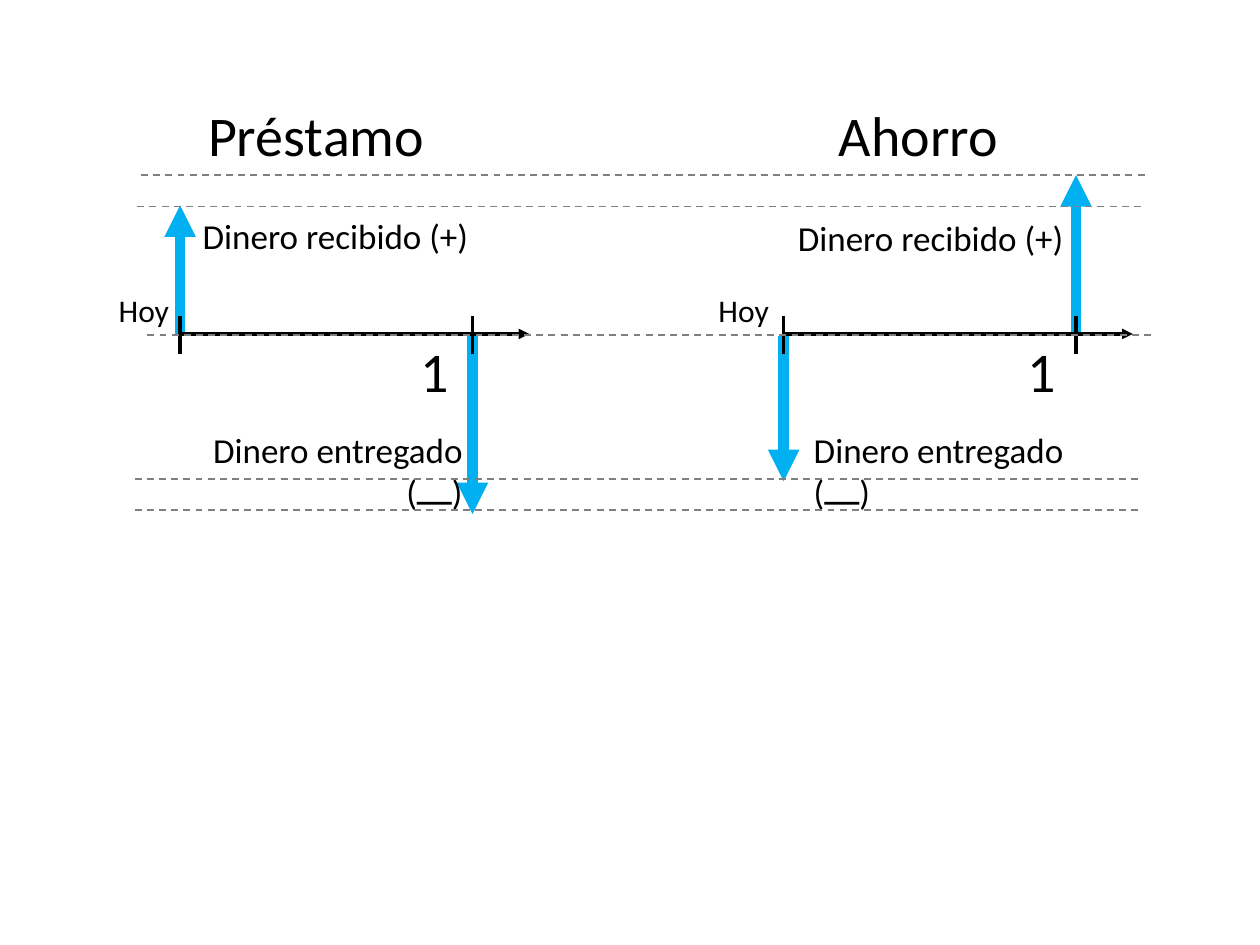
"""Build a slide comparing the cash flows of a loan and of savings."""
from dataclasses import dataclass

from lxml.etree import SubElement
from pptx import Presentation
from pptx.dml.color import RGBColor
from pptx.enum.dml import MSO_LINE
from pptx.enum.shapes import MSO_CONNECTOR
from pptx.enum.text import MSO_AUTO_SIZE, PP_ALIGN
from pptx.oxml.ns import qn
from pptx.util import Inches, Pt


@dataclass(frozen=True)
class Theme:
    font: str = "Calibri"
    black: RGBColor = RGBColor(0x00, 0x00, 0x00)
    blue: RGBColor = RGBColor(0x00, 0xB0, 0xF0)
    gray: RGBColor = RGBColor(0x80, 0x80, 0x80)
    large: int = 32
    medium: int = 20
    small: int = 18
    flow: int = 6
    axis: int = 2
    guide: int = 1


THEME = Theme()
LEFT, CENTER, RIGHT = PP_ALIGN.LEFT, PP_ALIGN.CENTER, PP_ALIGN.RIGHT
RECEIVED, PAID = "Dinero recibido (+)", "Dinero entregado (\u23bc)"
AXIS_Y, FLOW_Y = 2.65, 2.67
TICK_TOP, TICK_BOTTOM = 2.51, 2.81
AXIS_LENGTH, GUIDE_LENGTH = 2.77, 7.97

DIAGRAMS = [
    {
        "title": ("Préstamo", 0.83, 3.36),
        "today": 1.43, "later": 3.75,
        "tips": (1.63, 4.08),
        "today_label": 0.83, "period_label": 3.24,
        "received": (1.51, 1.65, LEFT), "paid": (1.19, 3.35, RIGHT),
    },
    {
        "title": ("Ahorro", 5.59, 3.4),
        "today": 6.22, "later": 8.54,
        "tips": (3.82, 1.39),
        "today_label": 5.59, "period_label": 8.06,
        "received": (6.21, 1.67, RIGHT), "paid": (6.36, 3.35, LEFT),
    },
]
GUIDES = [(1.09, 1.64), (1.17, 2.66), (1.07, 3.8), (1.12, 1.39), (1.07, 4.05)]


def add_line(slide, start, end, color, width, arrow=False, dashed=False):
    points = [Inches(value) for value in (*start, *end)]
    connector = slide.shapes.add_connector(MSO_CONNECTOR.STRAIGHT, *points)
    connector.line.color.rgb = color
    connector.line.width = Pt(width)
    if dashed:
        connector.line.dash_style = MSO_LINE.DASH
    if arrow:
        SubElement(connector.line._get_or_add_ln(), qn("a:tailEnd"), type="triangle")
    SubElement(connector._element.spPr, qn("a:effectLst"))


def add_text(slide, text, left, top, width, height, size, align=LEFT, wrap=False):
    box = slide.shapes.add_textbox(*map(Inches, (left, top, width, height)))
    frame = box.text_frame
    frame.word_wrap = wrap
    frame.auto_size = MSO_AUTO_SIZE.SHAPE_TO_FIT_TEXT
    paragraph = frame.paragraphs[0]
    paragraph.text = text
    paragraph.alignment = align
    paragraph.font.name = THEME.font
    paragraph.font.size = Pt(size)
    paragraph.font.color.rgb = THEME.black


def add_diagram(slide, diagram):
    moments = (diagram["today"], diagram["later"])
    for x, tip in zip(moments, diagram["tips"]):
        add_line(slide, (x, FLOW_Y), (x, tip), THEME.blue, THEME.flow, arrow=True)
    start = diagram["today"]
    add_line(slide, (start, AXIS_Y), (start + AXIS_LENGTH, AXIS_Y),
             THEME.black, THEME.axis, arrow=True)
    for x in moments:
        add_line(slide, (x, TICK_BOTTOM), (x, TICK_TOP), THEME.black, THEME.axis)

    title, left, width = diagram["title"]
    add_text(slide, title, left, 0.75, width, 0.64, THEME.large, CENTER, wrap=True)
    add_text(slide, "1", diagram["period_label"], 2.62, 0.43, 0.64, THEME.large)
    add_text(slide, "Hoy", diagram["today_label"], 2.26, 0.61, 0.4, THEME.small, RIGHT)
    left, top, align = diagram["received"]
    add_text(slide, RECEIVED, left, top, 2.33, 0.44, THEME.medium, align)
    left, top, align = diagram["paid"]
    add_text(slide, PAID, left, top, 2.58, 0.44, THEME.medium, align, wrap=True)


presentation = Presentation()
presentation.slide_width, presentation.slide_height = Inches(10), Inches(7.5)
slide = presentation.slides.add_slide(presentation.slide_layouts[6])
for diagram in DIAGRAMS:
    add_diagram(slide, diagram)
for left, y in GUIDES:
    add_line(slide, (left, y), (left + GUIDE_LENGTH, y),
             THEME.gray, THEME.guide, dashed=True)
presentation.save("out.pptx")
